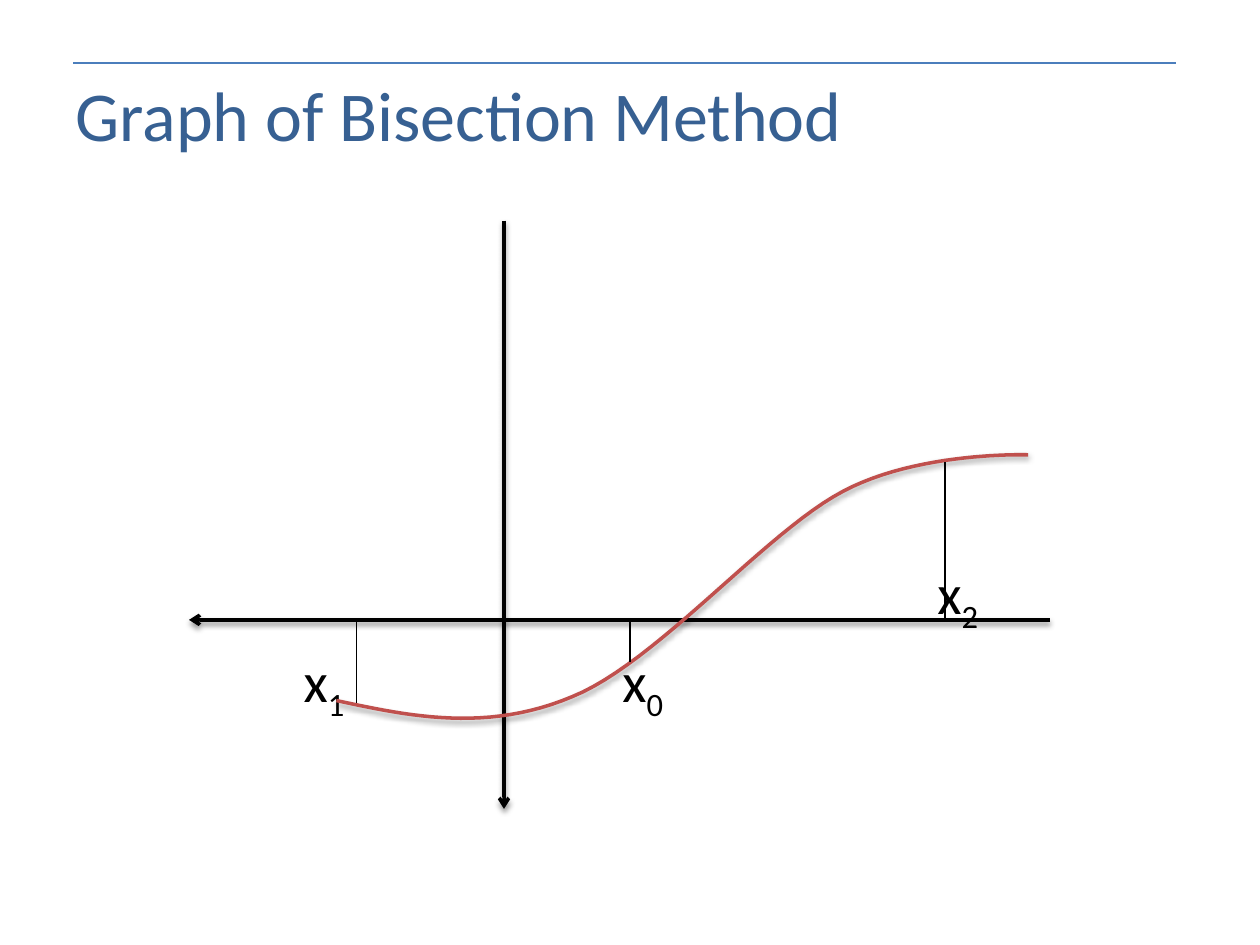
from dataclasses import dataclass

from lxml.etree import SubElement
from pptx import Presentation
from pptx.dml.color import RGBColor
from pptx.enum.shapes import MSO_CONNECTOR as Connector
from pptx.enum.text import MSO_ANCHOR as Anchor, MSO_AUTO_SIZE as AutoSize, PP_ALIGN as Align
from pptx.oxml.ns import qn
from pptx.util import Inches, Pt


@dataclass(frozen=True)
class Theme:
    """Colours, font and sizes of the slide."""
    font: str = "Calibri"
    title: str = "376092"
    ink: str = "000000"
    curve: str = "C0504D"
    rule: str = "4B7EBC"
    title_size: int = 40
    label_size: int = 32
    thick: float = 2
    thin: float = 0.75


THEME = Theme()
AXIS_Y = 4.92
CURVE_START = (2.67, 5.56)
CURVE_PIECES = [
    ((3.27, 5.69), (3.87, 5.81), (4.54, 5.53)),
    ((5.21, 5.26), (6.08, 4.22), (6.69, 3.9)),
    ((7.29, 3.58), (8.16, 3.61), (8.16, 3.61)),
]
# index, x of the drop line, y on the curve, label left, label top
ESTIMATES = [
    ("2", 7.5, 3.67, 7.44, 4.43),
    ("1", 2.83, 5.58, 2.41, 5.13),
    ("0", 5, 5.25, 4.94, 5.13),
]


def add_run(paragraph, text, size, color):
    """Add one formatted run and return it."""
    run = paragraph.add_run()
    run.text = text
    run.font.name = THEME.font
    run.font.size = Pt(size)
    run.font.color.rgb = RGBColor.from_string(color)
    return run


def set_effects(shape, shadowed):
    """Give a shape a soft shadow below it, or no effect at all."""
    effects = SubElement(shape._element.spPr, qn("a:effectLst"))
    if shadowed:
        shadow = SubElement(effects, qn("a:outerShdw"), blurRad=str(Pt(3.1)),
                            dist=str(Pt(1.6)), dir="5400000", rotWithShape="0")
        black = SubElement(shadow, qn("a:srgbClr"), val=THEME.ink)
        SubElement(black, qn("a:alpha"), val="38000")


def set_stroke(shape, color, width):
    """Set line colour and width."""
    shape.line.color.rgb = RGBColor.from_string(color)
    shape.line.width = Pt(width)


def add_line(slide, start, end, color, width, axis=False):
    """Draw a straight line; an axis has an arrowhead and a shadow."""
    line = slide.shapes.add_connector(
        Connector.STRAIGHT, *(Inches(value) for value in (*start, *end)))
    set_stroke(line, color, width)
    if axis:
        SubElement(line.line._get_or_add_ln(), qn("a:tailEnd"), type="arrow")
    set_effects(line, axis)


def bezier_points(start, pieces, steps=24):
    """Yield points along a chain of cubic curves."""
    for first, second, end in pieces:
        for step in range(1, steps + 1):
            t = step / steps
            weights = ((1 - t) ** 3, 3 * t * (1 - t) ** 2, 3 * t * t * (1 - t), t ** 3)
            corners = (start, first, second, end)
            yield tuple(Inches(sum(w * c[i] for w, c in zip(weights, corners)))
                        for i in (0, 1))
        start = end


def add_curve(slide):
    """Draw the graph of the function."""
    builder = slide.shapes.build_freeform(*(Inches(value) for value in CURVE_START))
    builder.add_line_segments(bezier_points(CURVE_START, CURVE_PIECES), close=False)
    curve = builder.convert_to_shape()
    curve.fill.background()
    set_stroke(curve, THEME.curve, THEME.thick)
    set_effects(curve, True)


def add_title(slide, text):
    """Place and format the title."""
    title = slide.shapes.title
    title.left, title.top, title.width, title.height = (
        Inches(value) for value in (0.5, 0.52, 9, 0.8))
    frame = title.text_frame
    frame.auto_size = AutoSize.NONE
    frame.vertical_anchor = Anchor.TOP
    frame.paragraphs[0].alignment = Align.LEFT
    add_run(frame.paragraphs[0], text, THEME.title_size, THEME.title)


def add_label(slide, index, left, top):
    """Write x with a subscript index."""
    label = slide.shapes.add_textbox(Inches(left), Inches(top), Inches(0.5), Inches(0.6))
    frame = label.text_frame
    frame.word_wrap = True
    frame.margin_left = frame.margin_right = frame.margin_top = frame.margin_bottom = 0
    paragraph = frame.paragraphs[0]
    add_run(paragraph, "x", THEME.label_size, THEME.ink)
    subscript = add_run(paragraph, index, THEME.label_size, THEME.ink)
    subscript._r.get_or_add_rPr().set("baseline", "-25000")


def main():
    """Build the slide and save it."""
    deck = Presentation()
    deck.slide_width, deck.slide_height = Inches(10), Inches(7.5)
    slide = deck.slides.add_slide(deck.slide_layouts[5])
    add_title(slide, "Graph of Bisection Method")
    for index, _, _, left, top in ESTIMATES:
        add_label(slide, index, left, top)
    add_line(slide, (4, 1.75), (4, 6.42), THEME.ink, THEME.thick, axis=True)
    add_line(slide, (8.33, AXIS_Y), (1.5, AXIS_Y), THEME.ink, THEME.thick, axis=True)
    add_curve(slide)
    for _, x, y, _, _ in ESTIMATES:
        add_line(slide, (x, AXIS_Y), (x, y), THEME.ink, THEME.thin)
    add_line(slide, (0.58, 0.5), (9.33, 0.5), THEME.rule, THEME.thin)
    deck.save("out.pptx")


main()
